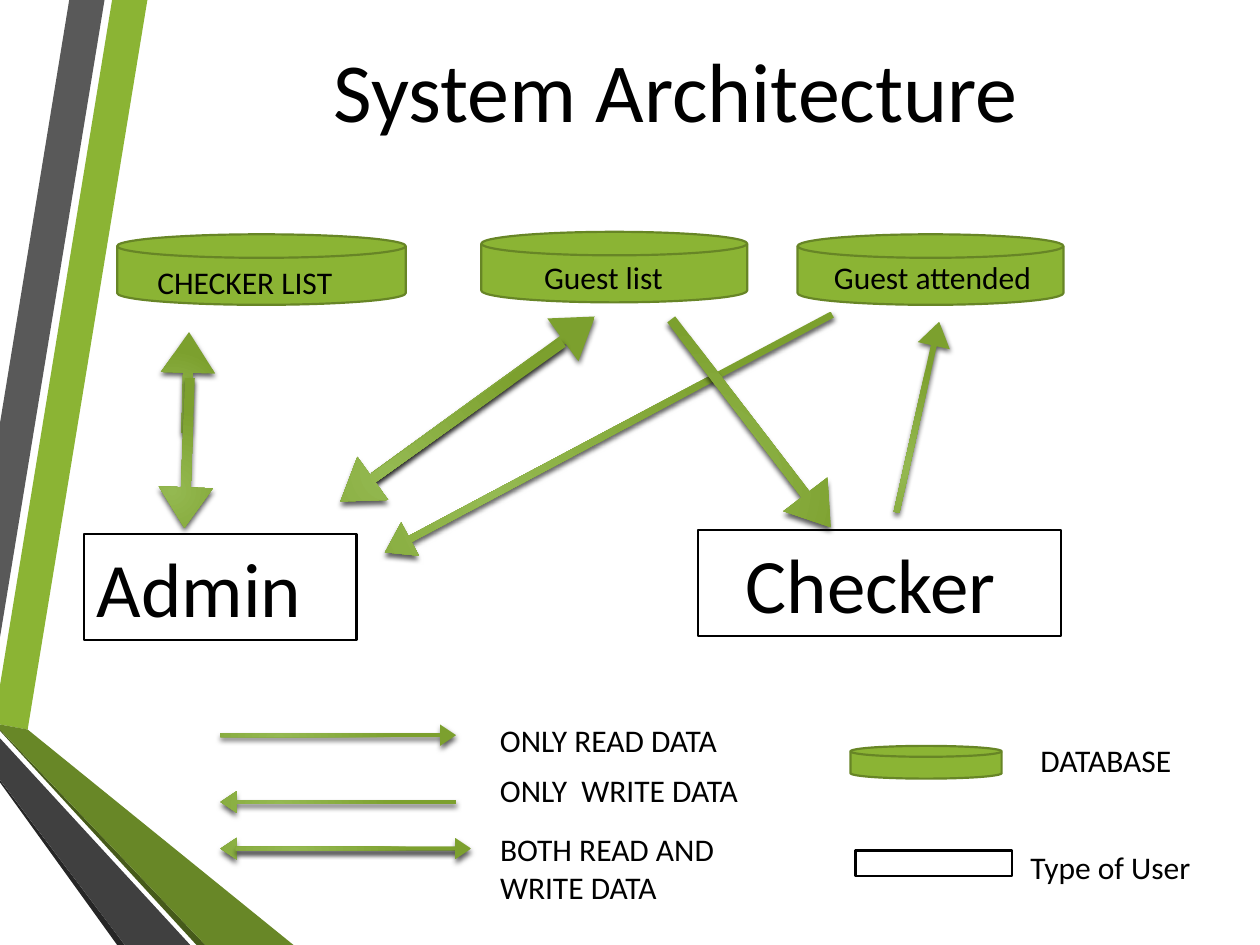
"""Build the System Architecture slide: users, databases and data flows."""
from lxml import etree
from pptx import Presentation, util as u
from pptx.dml.color import RGBColor
from pptx.enum import shapes, text
from pptx.oxml.ns import qn

PX = 9144
C = {"green": "8BB434", "edge": "678526", "olive": "688727", "moss": "465A1A",
     "gray": "595959", "dark": "404040", "coal": "262626",
     "light": "94B951", "deep": "7CA02E", "black": "000000", "white": "FFFFFF"}
RECT = shapes.MSO_SHAPE.RECTANGLE
DISK = shapes.MSO_SHAPE.FLOWCHART_MAGNETIC_DISK
ARROW = shapes.MSO_SHAPE.RIGHT_ARROW
LEFT, CENTER = text.PP_ALIGN.LEFT, text.PP_ALIGN.CENTER

BANDS = [
    ("green", [(0, 544), (0, 575), (22, 579), (117, 0), (89, 0)]),
    ("gray", [(83, 0), (55, 0), (0, 336), (0, 506)]),
    ("coal", [(0, 619), (0, 621), (93, 750), (99, 750)]),
    ("moss", [(0, 579), (0, 580), (156, 750), (163, 750)]),
    ("olive", [(0, 579), (163, 750), (233, 750), (22, 579), (0, 575)]),
    ("dark", [(0, 619), (99, 750), (151, 750), (0, 586)]),
]
TITLE = ("System Architecture", (99, -7, 875, 155))
USERS = [("Admin", (67, 424, 216, 84), LEFT), ("Checker ", (554, 421, 288, 84), CENTER)]
USER_KEY = (679, 675, 124, 20)
DATABASES = [(93, 186, 229, 56), (382, 184, 211, 56), (633, 186, 211, 56), (675, 592, 120, 26)]
LABELS = [
    ("CHECKER LIST", (115, 204, 185, 40)),
    ("Guest list", (422, 200, 170, 40)),
    ("Guest attended", (652, 200, 192, 40)),
    ("ONLY READ DATA", (387, 567, 213, 40)),
    ("ONLY  WRITE DATA", (387, 607, 234, 40)),
    ("BOTH READ AND WRITE DATA", (387, 654, 251, 71)),
    ("DATABASE", (816, 583, 170, 40)),
    ("Type of User", (808, 668, 170, 40)),
]
ARROWS = [
    ((175, 575, 187, 17), 0),
    ((175, 628, 187, 17), 180),
    ((175, 665, 187, 17), 180),
    ((187, 665, 187, 17), 0),
    ((282, 329, 402, 30), 152),
    ((492, 314, 208, 44), 52.5),
    ((651, 318, 155, 26), 282.6),
    ((109, 282, 80, 43), 271.5),
    ((89, 338, 119, 43), 92.1),
    ((276, 294, 217, 42), 324),
    ((250, 314, 217, 42), 144.5),
]


def rgb(name):
    return RGBColor.from_string(C[name])


def box(place):
    return [v * PX for v in place]


def style(sp, fill, line=None):
    sp.shadow.inherit = False
    sp.fill.solid()
    sp.fill.fore_color.rgb = rgb(fill)
    if line:
        sp.line.color.rgb = rgb(line)
        sp.line.width = u.Pt(1.25)
    else:
        sp.line.fill.background()


def write(sp, words, size, align=LEFT, anchor=text.MSO_ANCHOR.TOP):
    tf = sp.text_frame
    tf.word_wrap, tf.vertical_anchor = True, anchor
    p = tf.paragraphs[0]
    p.alignment = align
    r = p.add_run()
    r.text = words
    for key, value in {"name": "Calibri", "size": u.Pt(size), "bold": False}.items():
        setattr(r.font, key, value)
    r.font.color.rgb = rgb("black")


def add_shape(s, kind, place, fill, line=None):
    sp = s.shapes.add_shape(kind, *box(place))
    style(sp, fill, line)
    return sp


def add_arrow(s, place, angle):
    sp = add_shape(s, ARROW, place, "green")
    sp.rotation = angle
    sp.adjustments[0], sp.adjustments[1] = 0.18, 0.75
    sp.fill.gradient()
    for stop, name in zip(sp.fill.gradient_stops, ("light", "deep")):
        stop.color.rgb = rgb(name)
    pr = sp.element.spPr
    grad = pr.find(qn("a:gradFill"))
    grad.remove(grad.find(qn("a:lin")))
    radial = etree.SubElement(grad, qn("a:path"), {"path": "circle"})
    etree.SubElement(radial, qn("a:fillToRect"),
                     {"l": "50000", "t": "100000", "r": "100000", "b": "50000"})
    shadow = etree.SubElement(pr.find(qn("a:effectLst")), qn("a:outerShdw"), {
        "blurRad": str(u.Pt(3)), "dist": str(u.Pt(2)), "dir": "5400000", "rotWithShape": "0"})
    color = etree.SubElement(shadow, qn("a:srgbClr"), {"val": C["black"]})
    etree.SubElement(color, qn("a:alpha"), {"val": "64000"})


def main():
    prs = Presentation()
    prs.slide_width, prs.slide_height = 1000 * PX, 750 * PX
    s = prs.slides.add_slide(prs.slide_layouts[5])

    for fill, points in BANDS:
        outline = s.shapes.build_freeform(*points[0], scale=PX)
        outline.add_line_segments(points[1:], close=True)
        style(outline.convert_to_shape(), fill)

    words, place = TITLE
    title = s.shapes.title
    for key, value in zip(("left", "top", "width", "height"), box(place)):
        setattr(title, key, value)
    write(title, words, 48, CENTER, text.MSO_ANCHOR.MIDDLE)

    for words, place, align in USERS:
        write(add_shape(s, RECT, place, "white", "black"), words, 44, align)
    add_shape(s, RECT, USER_KEY, "white", "black")
    for place in DATABASES:
        add_shape(s, DISK, place, "green", "edge")
    for words, place in LABELS:
        write(s.shapes.add_textbox(*box(place)), words, 18)
    for place, angle in ARROWS:
        add_arrow(s, place, angle)

    prs.save("out.pptx")


if __name__ == "__main__":
    main()
